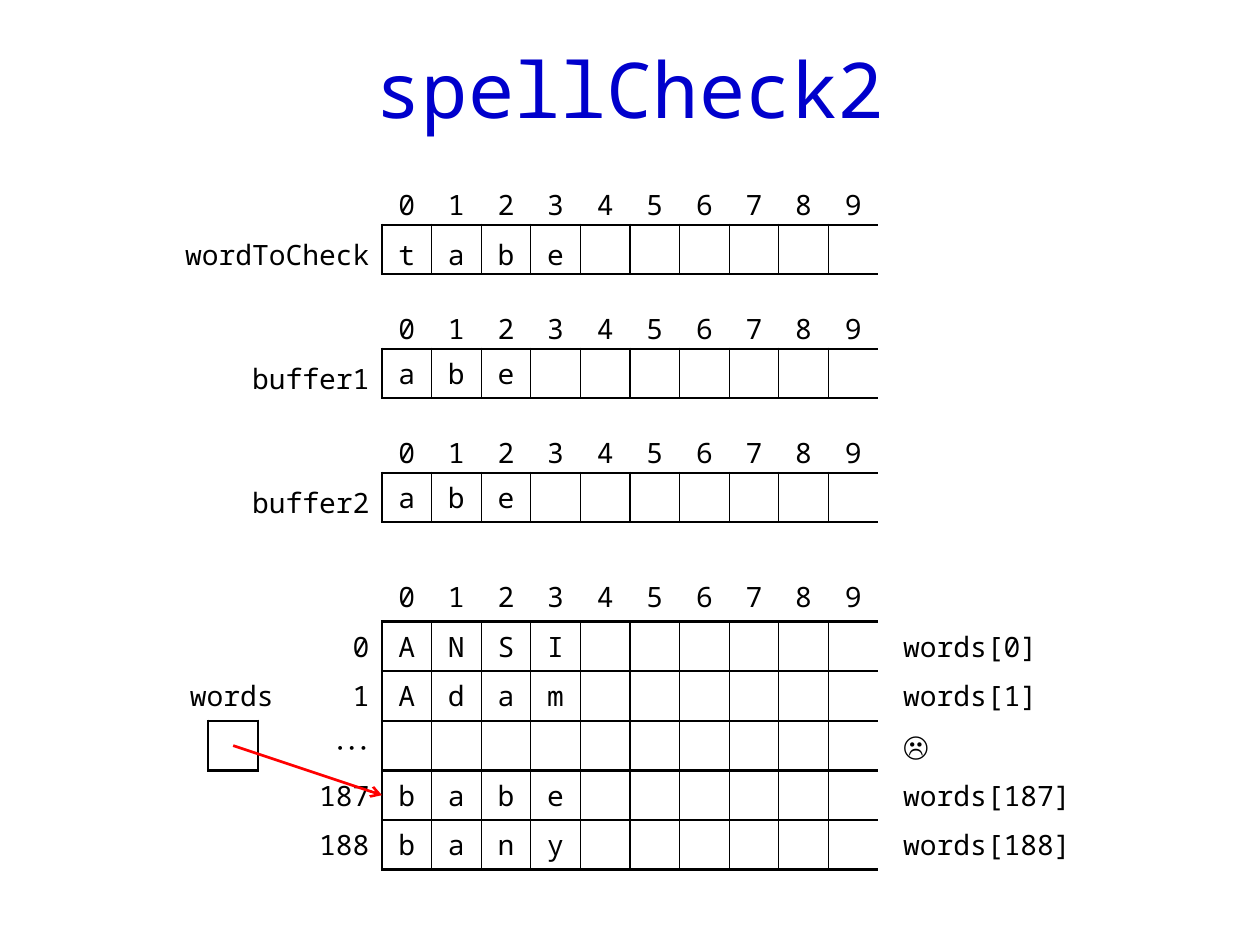
from lxml import etree
from pptx import Presentation
from pptx import util as u
from pptx.dml.color import RGBColor
from pptx.enum import shapes, text
from pptx.oxml.ns import qn

MONO, SERIF = "Noto Sans Mono", "Times New Roman"
BLACK, BLUE, RED = "000000", "0000CC", "FF0000"
THICK, THIN = 1.5, 0.75
LEFT, CENTER, RIGHT = text.PP_ALIGN.LEFT, text.PP_ALIGN.CENTER, text.PP_ALIGN.RIGHT
NO_STYLE = "{2D5ABB26-0587-4C30-8999-92F81FD0307C}"
SLOTS = 10


def rgb(value):
    return RGBColor.from_string(value)


def write(tf, words, size=16, font=MONO, color=BLACK, align=CENTER, spacing=1.0):
    p = tf.paragraphs[0]
    p.alignment, p.line_spacing = align, spacing
    r = p.add_run()
    r.text = words
    r.font.size, r.font.name = u.Pt(size), font
    r.font.color.rgb = rgb(color)


class Diagram:
    """Places elements on a grid of 1 cm squares with its origin at (x0, y0)."""
    x0, y0 = 3.2, 3.53

    def __init__(self, prs):
        self.prs = prs
        self.s = prs.slides.add_slide(prs.slide_layouts[5])

    def at(self, col, row):
        return u.Cm(self.x0 + col), u.Cm(self.y0 + row)

    def title(self, words):
        sp, w, h = self.s.shapes.title, self.prs.slide_width, self.prs.slide_height
        sp.left, sp.top = int(w * 0.047), int(h * 0.028)
        sp.width, sp.height = int(w * 0.906), int(h * 0.13)
        sp.text_frame.vertical_anchor = text.MSO_ANCHOR.MIDDLE
        write(sp.text_frame, words, size=44, color=BLUE)

    def table(self, col, row, widths, rows):
        sp = self.s.shapes.add_table(rows, len(widths), *self.at(col, row),
                                     u.Cm(sum(widths)), u.Cm(rows))
        tbl = sp.table
        tbl.first_row = tbl.horz_banding = False
        sp._element.find(".//" + qn("a:tableStyleId")).text = NO_STYLE
        for column, width in zip(tbl.columns, widths):
            column.width = u.Cm(width)
        for line in tbl.rows:
            line.height = u.Cm(1)
        return tbl

    def cell(self, cell, words="", left=0, right=0, borders=None, **fmt):
        cell.margin_left, cell.margin_right = u.Inches(left), u.Inches(right)
        cell.margin_top = cell.margin_bottom = 0
        cell.vertical_anchor = text.MSO_ANCHOR.MIDDLE
        borders = borders or {}
        tc_pr = cell._tc.get_or_add_tcPr()
        for side in "LRTB":
            weight = borders.get(side, 0)
            ln = etree.SubElement(tc_pr, qn("a:ln" + side), w=str(u.Pt(weight)))
            if weight:
                fill = etree.SubElement(ln, qn("a:solidFill"))
                etree.SubElement(fill, qn("a:srgbClr"), val=BLACK)
            else:
                etree.SubElement(ln, qn("a:noFill"))
        cell.fill.background()
        if words:
            write(cell.text_frame, words, **fmt)

    def array(self, col, row, label_cols, items, note_cols=0,
              spacing=1.0, letter_spacing=1.0):
        """Numbered slots under a header, one row per (label, letters, note)."""
        widths = [label_cols] + [1] * SLOTS + ([note_cols] if note_cols else [])
        tbl = self.table(col, row, widths, len(items) + 1)
        # Header of slot numbers
        for i in range(len(widths)):
            is_slot = 1 <= i <= SLOTS
            self.cell(tbl.cell(0, i), str(i - 1) if is_slot else "",
                      borders={"B": THICK} if is_slot else None, spacing=spacing)
        for y, (label, letters, note) in enumerate(items, 1):
            # Label, set larger in serif when it is an ellipsis
            fmt = dict(size=20, font=SERIF) if label == "⋯" else {}
            self.cell(tbl.cell(y, 0), label, right=0.1, align=RIGHT,
                      borders={"R": THICK}, spacing=spacing, **fmt)
            # Letters, open at the right end
            for i, letter in enumerate(letters.ljust(SLOTS)):
                edges = {"L": THIN if i else THICK, "T": THICK, "B": THICK,
                         "R": THIN if i < SLOTS - 1 else 0}
                self.cell(tbl.cell(y, i + 1), letter.strip(), borders=edges,
                          spacing=letter_spacing)
            if note_cols:
                self.cell(tbl.cell(y, SLOTS + 1), note, left=0.2, right=0.1, align=LEFT)

    def box(self, col, row, width, words="", weight=0, **fmt):
        tbl = self.table(col, row, [width], 1)
        self.cell(tbl.cell(0, 0), words, borders=dict.fromkeys("LRTB", weight), **fmt)

    def arrow(self, start, end, color):
        sp = self.s.shapes.add_connector(shapes.MSO_CONNECTOR.STRAIGHT,
                                         *self.at(*start), *self.at(*end))
        sp.line.color.rgb, sp.line.width = rgb(color), u.Pt(THICK)
        etree.SubElement(sp.line._get_or_add_ln(), qn("a:tailEnd"), type="arrow")
        etree.SubElement(sp._element.spPr, qn("a:effectLst"))


def main():
    prs = Presentation()
    prs.slide_width, prs.slide_height = u.Inches(10), u.Inches(7.5)
    d = Diagram(prs)
    d.title("spellCheck2")

    # Word being checked and its two buffers
    d.array(0, 0, 4.5, [("wordToCheck", "tabe", "")], spacing=1.25, letter_spacing=1.25)
    for row, name in ((2.5, "buffer1"), (5, "buffer2")):
        d.array(1.5, row, 3, [(name, "abe", "")], spacing=1.25)

    # Dictionary
    d.array(3, 8, 1.5, [
        ("0", "ANSI", "words[0]"),
        ("1", "Adam", "words[1]"),
        ("⋯", "", "☹"),
        ("187", "babe", "words[187]"),
        ("188", "bany", "words[188]"),
    ], note_cols=4.5)

    # Pointer into the dictionary
    d.box(0, 10, 3, "words", left=0.08, right=0.1)
    d.box(1, 11, 1, weight=THICK)
    d.arrow((1.5, 11.5), (4.5, 12.5), RED)

    prs.save("out.pptx")


if __name__ == "__main__":
    main()
